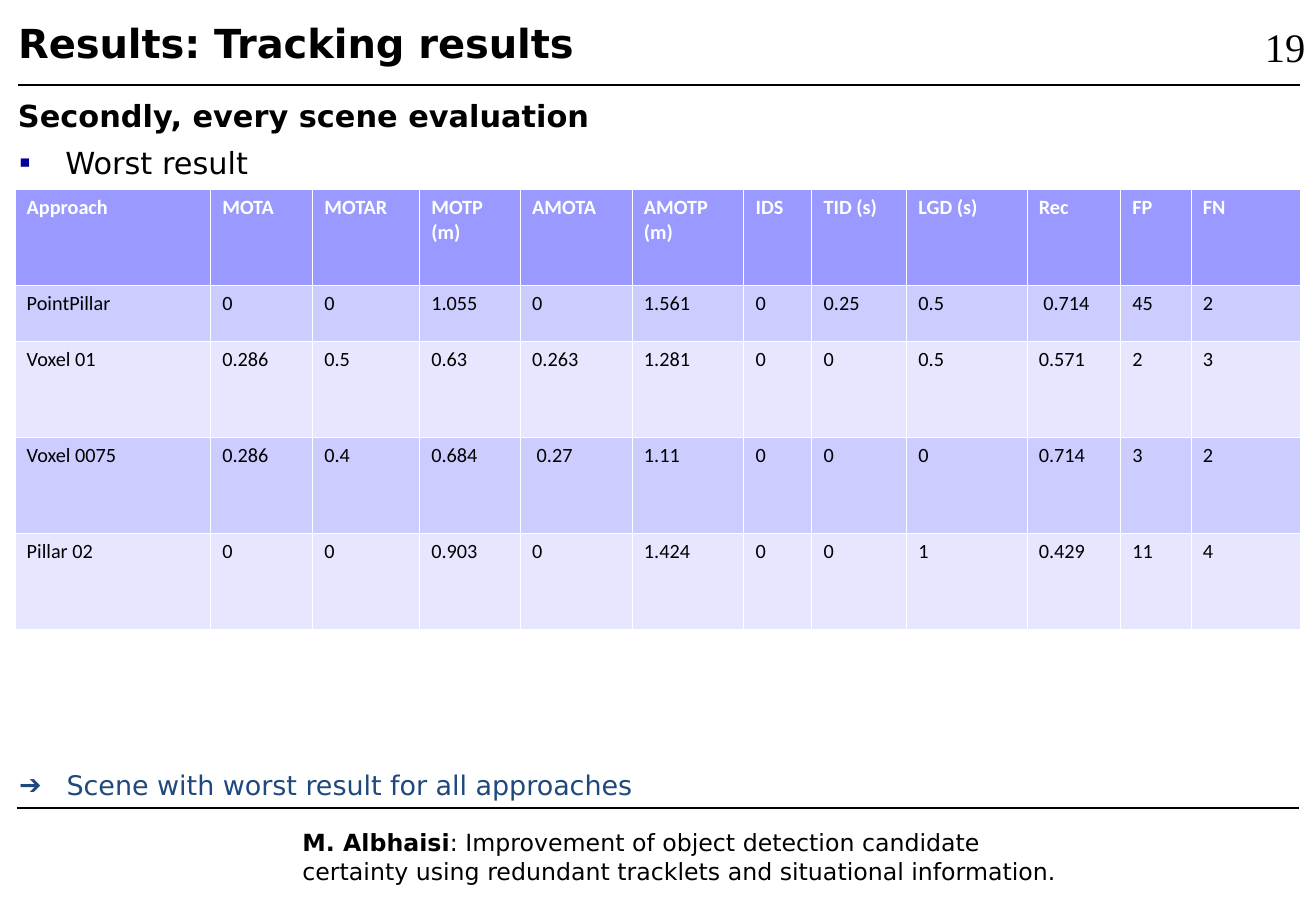
import pptx
import pptx.dml.color
import pptx.enum.shapes
import pptx.enum.text
import pptx.oxml
import pptx.oxml.ns
import pptx.util
from lxml import etree

Inches = pptx.util.Inches
Pt = pptx.util.Pt
RGBColor = pptx.dml.color.RGBColor

BLACK = RGBColor(0x00, 0x00, 0x00)
WHITE = RGBColor(0xFF, 0xFF, 0xFF)
NAVY = RGBColor(0x00, 0x00, 0x99)
BLUE = RGBColor(0x1F, 0x49, 0x7D)
HEADER_FILL = RGBColor(0x99, 0x99, 0xFF)
BAND_FILLS = (RGBColor(0xCC, 0xCC, 0xFF), RGBColor(0xE6, 0xE6, 0xFF))
BODY_FONT = "DejaVu Sans"
TABLE_FONT = "Calibri"
NUMBER_FONT = "Times New Roman"

TITLE = "Results: Tracking results"
SUBTITLE = "Secondly, every scene evaluation"
BULLET = "Worst result"
CONCLUSION = "Scene with worst result for all approaches"
AUTHOR = "M. Albhaisi"
THESIS = (": Improvement of object detection candidate certainty "
          "using redundant tracklets and situational information.")
PAGE_NUMBER = "19"

RESULTS = [
    ("Approach", "MOTA", "MOTAR", "MOTP (m)", "AMOTA", "AMOTP\n(m)",
     "IDS", "TID (s)", "LGD (s)", "Rec", "FP", "FN"),
    ("PointPillar", "0", "0", "1.055", "0", "1.561",
     "0", "0.25", "0.5", " 0.714", "45", "2"),
    ("Voxel 01", "0.286", "0.5", "0.63", "0.263", "1.281",
     "0", "0", "0.5", "0.571", "2", "3"),
    ("Voxel 0075", "0.286", "0.4", "0.684", " 0.27", "1.11",
     "0", "0", "0", "0.714", "3", "2"),
    ("Pillar 02", "0", "0", "0.903", "0", "1.424",
     "0", "0", "1", "0.429", "11", "4"),
]
COLUMN_WIDTHS = (1.61, 0.84, 0.88, 0.83, 0.92, 0.92,
                 0.56, 0.78, 0.99, 0.77, 0.58, 0.9)
ROW_HEIGHTS = (0.79, 0.46, 0.79, 0.79, 0.79)
RULES = [(0.15, 0.7, 0.75), (0.14, 6.65, 1)]  # left, top, weight
RULE_LENGTH = 10.55


def style_run(run, size, color=BLACK, bold=False, font=BODY_FONT):
    run.font.size = Pt(size)
    run.font.name = font
    run.font.bold = bold
    run.font.color.rgb = color


def add_text(slide, box, paragraphs):
    """Add a text box; each paragraph is a list of (text, style) runs."""
    shape = slide.shapes.add_textbox(*map(Inches, box))
    frame = shape.text_frame
    frame.word_wrap = True
    for index, runs in enumerate(paragraphs):
        paragraph = frame.add_paragraph() if index else frame.paragraphs[0]
        for text, style in runs:
            run = paragraph.add_run()
            run.text = text
            style_run(run, **style)
    return frame


def add_bullet(paragraph, character, color, indent, size=100, font=BODY_FONT):
    properties = paragraph._p.get_or_add_pPr()
    properties.set("marL", str(Inches(indent)))
    properties.set("indent", str(-Inches(indent - 0.01)))
    bullet_color = etree.SubElement(properties, pptx.oxml.ns.qn("a:buClr"))
    etree.SubElement(bullet_color, pptx.oxml.ns.qn("a:srgbClr")).set("val", str(color))
    for tag, name, value in (("buSzPct", "val", str(size * 1000)),
                             ("buFont", "typeface", font),
                             ("buChar", "char", character)):
        etree.SubElement(properties, pptx.oxml.ns.qn("a:" + tag)).set(name, value)


def add_rule(slide, left, top, weight):
    line = slide.shapes.add_connector(
        pptx.enum.shapes.MSO_CONNECTOR.STRAIGHT, Inches(left), Inches(top),
        Inches(left + RULE_LENGTH), Inches(top))
    line.line.color.rgb = BLACK
    line.line.width = Pt(weight)
    etree.SubElement(line._element.spPr, pptx.oxml.ns.qn("a:effectLst"))


def add_cell_borders(cell):
    properties = cell._tc.get_or_add_tcPr()
    for position, side in enumerate(("lnL", "lnR", "lnT", "lnB")):
        border = etree.Element(pptx.oxml.ns.qn("a:" + side), w=str(Pt(0.06)))
        fill = etree.SubElement(border, pptx.oxml.ns.qn("a:solidFill"))
        etree.SubElement(fill, pptx.oxml.ns.qn("a:srgbClr")).set("val", str(WHITE))
        properties.insert(position, border)


def add_results_table(slide):
    table = slide.shapes.add_table(
        len(RESULTS), len(COLUMN_WIDTHS), Inches(0.12), Inches(1.56),
        Inches(sum(COLUMN_WIDTHS)), Inches(sum(ROW_HEIGHTS))).table
    for column, width in zip(table.columns, COLUMN_WIDTHS):
        column.width = Inches(width)
    for row_index, (values, height) in enumerate(zip(RESULTS, ROW_HEIGHTS)):
        table.rows[row_index].height = Inches(height)
        header = row_index == 0
        for column_index, value in enumerate(values):
            cell = table.cell(row_index, column_index)
            cell.text_frame.text = value
            cell.fill.solid()
            cell.fill.fore_color.rgb = (
                HEADER_FILL if header else BAND_FILLS[(row_index - 1) % 2])
            add_cell_borders(cell)
            for paragraph in cell.text_frame.paragraphs:
                for run in paragraph.runs:
                    style_run(run, 12, WHITE if header else BLACK, header, TABLE_FONT)


def main():
    presentation = pptx.Presentation()
    presentation.slide_width = Inches(10.83)
    presentation.slide_height = Inches(7.5)
    slide = presentation.slides.add_slide(presentation.slide_layouts[6])

    for rule in RULES:
        add_rule(slide, *rule)
    add_text(slide, (2.39, 6.77, 6.51, 0.56),
             [[(AUTHOR, dict(size=14, bold=True)), (THESIS, dict(size=14))]])

    title = add_text(slide, (0.05, 0.1, 9.75, 0.5),
                     [[(TITLE, dict(size=23.7, bold=True))]])
    title.vertical_anchor = pptx.enum.text.MSO_ANCHOR.MIDDLE

    body = add_text(slide, (0.05, 0.75, 10.64, 5.52),
                    [[(SUBTITLE, dict(size=18, bold=True))],
                     [(BULLET, dict(size=18))]])
    conclusion = add_text(slide, (0.05, 6.28, 10.45, 0.36),
                          [[(CONCLUSION, dict(size=16, color=BLUE))]])
    for paragraph in body.paragraphs + conclusion.paragraphs:
        paragraph.space_before = Pt(6)
    add_bullet(body.paragraphs[1], "▪", NAVY, 0.39, 110, NUMBER_FONT)
    add_bullet(conclusion.paragraphs[0], "➔", BLUE, 0.4)

    add_results_table(slide)
    page_number = add_text(slide, (10.31, 0.13, 0.52, 0.47),
                           [[(PAGE_NUMBER, dict(size=24, font=NUMBER_FONT))]])
    page_number.margin_right = 0
    presentation.save("out.pptx")


if __name__ == "__main__":
    main()
